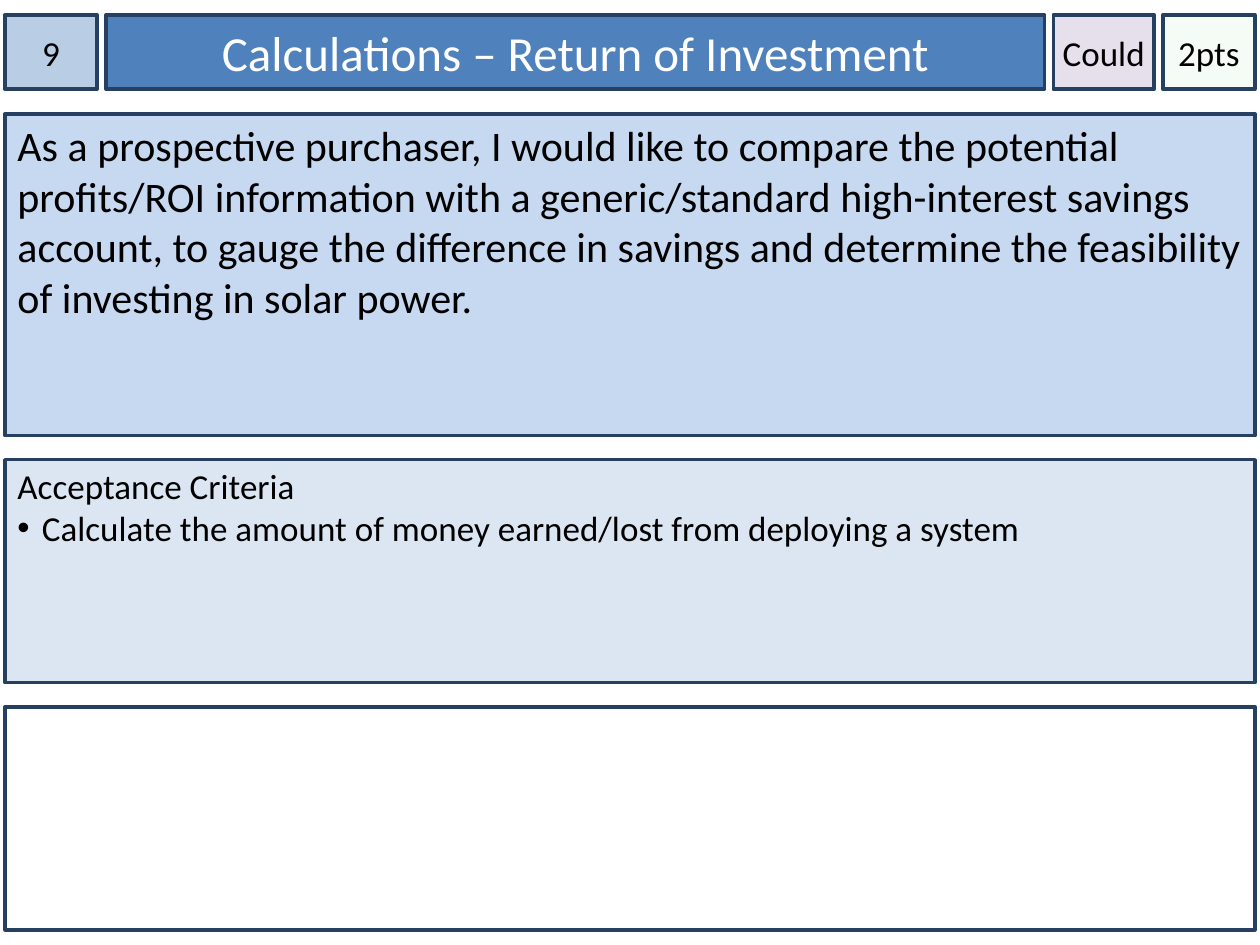
from lxml.etree import SubElement
from pptx import Presentation
from pptx.dml.color import RGBColor
from pptx.enum.shapes import MSO_SHAPE
from pptx.enum.text import MSO_ANCHOR, PP_ALIGN
from pptx.oxml.ns import qn
from pptx.util import Pt


def colour(hex_text):
    """Turn a hex string into a colour."""
    return RGBColor.from_string(hex_text)


class StoryCard:
    """Style and current slide of a user story card."""
    font_name = "Calibri"
    border = "254061"

    def __init__(self, page):
        """Keep the slide to draw on."""
        self.page = page

    def panel(self, left, top, width, height, fill, opacity=100):
        """Add a bordered rectangle."""
        box = self.page.shapes.add_shape(
            MSO_SHAPE.RECTANGLE, Pt(left), Pt(top), Pt(width), Pt(height))
        box.shadow.inherit = False
        box.fill.solid()
        box.fill.fore_color.rgb = colour(fill)
        if opacity < 100:
            tint = box.fill._xPr.find(qn("a:solidFill"))[0]
            SubElement(tint, qn("a:alpha"), val=str(opacity * 1000))
        box.line.color.rgb = colour(self.border)
        box.line.width = Pt(2)
        return box

    def add_text(self, box, lines, size, ink="000000", align=PP_ALIGN.LEFT,
                 anchor=MSO_ANCHOR.TOP, side=7.2, top=3.6, wrap=True):
        """Set one paragraph per line and return the paragraphs."""
        frame = box.text_frame
        frame.word_wrap = wrap
        frame.vertical_anchor = anchor
        frame.margin_left = frame.margin_right = Pt(side)
        frame.margin_top, frame.margin_bottom = Pt(top), Pt(3.6)
        for index, line in enumerate(lines):
            para = frame.add_paragraph() if index else frame.paragraphs[0]
            para.text = line
            para.alignment = align
            para.font.name = self.font_name
            para.font.size = Pt(size)
            para.font.color.rgb = colour(ink)
        return frame.paragraphs

    def header(self, left, width, fill, text, size=20, ink="000000",
               side=0, wrap=True, opacity=100):
        """Add a centred cell of the header row."""
        box = self.panel(left, HEADER_TOP, width, HEADER_HEIGHT, fill, opacity)
        self.add_text(box, [text], size, ink, PP_ALIGN.CENTER,
                      MSO_ANCHOR.MIDDLE, side, wrap=wrap)

    def bullet(self, para, indent):
        """Give a paragraph a hanging bullet."""
        props = para._p.get_or_add_pPr()
        props.set("marL", str(Pt(indent)))
        props.set("indent", str(-Pt(indent)))
        SubElement(props, qn("a:buFont"), typeface="Arial")
        SubElement(props, qn("a:buChar"), char="•")
        # Schema order puts the default run properties after the bullet.
        props.append(props.find(qn("a:defRPr")))


PAGE_WIDTH, PAGE_HEIGHT = 720, 540
MARGIN = 2.9
HEADER_TOP, HEADER_HEIGHT, HEADER_GAP = 8.5, 42.5, 5
PANEL_TOP, PANEL_GAP = 65, 13.7
PANEL_WIDTH = PAGE_WIDTH - 2 * MARGIN

deck = Presentation()
deck.slide_width, deck.slide_height = Pt(PAGE_WIDTH), Pt(PAGE_HEIGHT)
card = StoryCard(deck.slides.add_slide(deck.slide_layouts[6]))

left = MARGIN
for width, fill, text, options in [
    (52.6, "B9CDE5", "9", {}),
    (536.4, "4F81BD", "Calculations – Return of Investment",
     {"size": 28, "ink": "FFFFFF", "side": 7.2}),
    (57.6, "E6E0EC", "Could", {"wrap": False}),
    (52.6, "CCF0CD", "2pts", {"opacity": 20}),
]:
    card.header(left, width, fill, text, **options)
    left += width + HEADER_GAP

panels = []
top = PANEL_TOP
for height, fill in [(184, "C6D9F1"), (127.5, "DCE6F2"), (127.5, "FFFFFF")]:
    panels.append(card.panel(MARGIN, top, PANEL_WIDTH, height, fill))
    top += height + PANEL_GAP
story, criteria, notes = panels

card.add_text(story, [
    "As a prospective purchaser, I would like to compare the potential "
    "profits/ROI information with a generic/standard high-interest savings "
    "account, to gauge the difference in savings and determine the "
    "feasibility of investing in solar power."], 24)
heading, criterion = card.add_text(criteria, [
    "Acceptance Criteria",
    "Calculate the amount of money earned/lost from deploying a system"],
    20, top=2.9)
card.bullet(criterion, 14)

deck.save("out.pptx")
